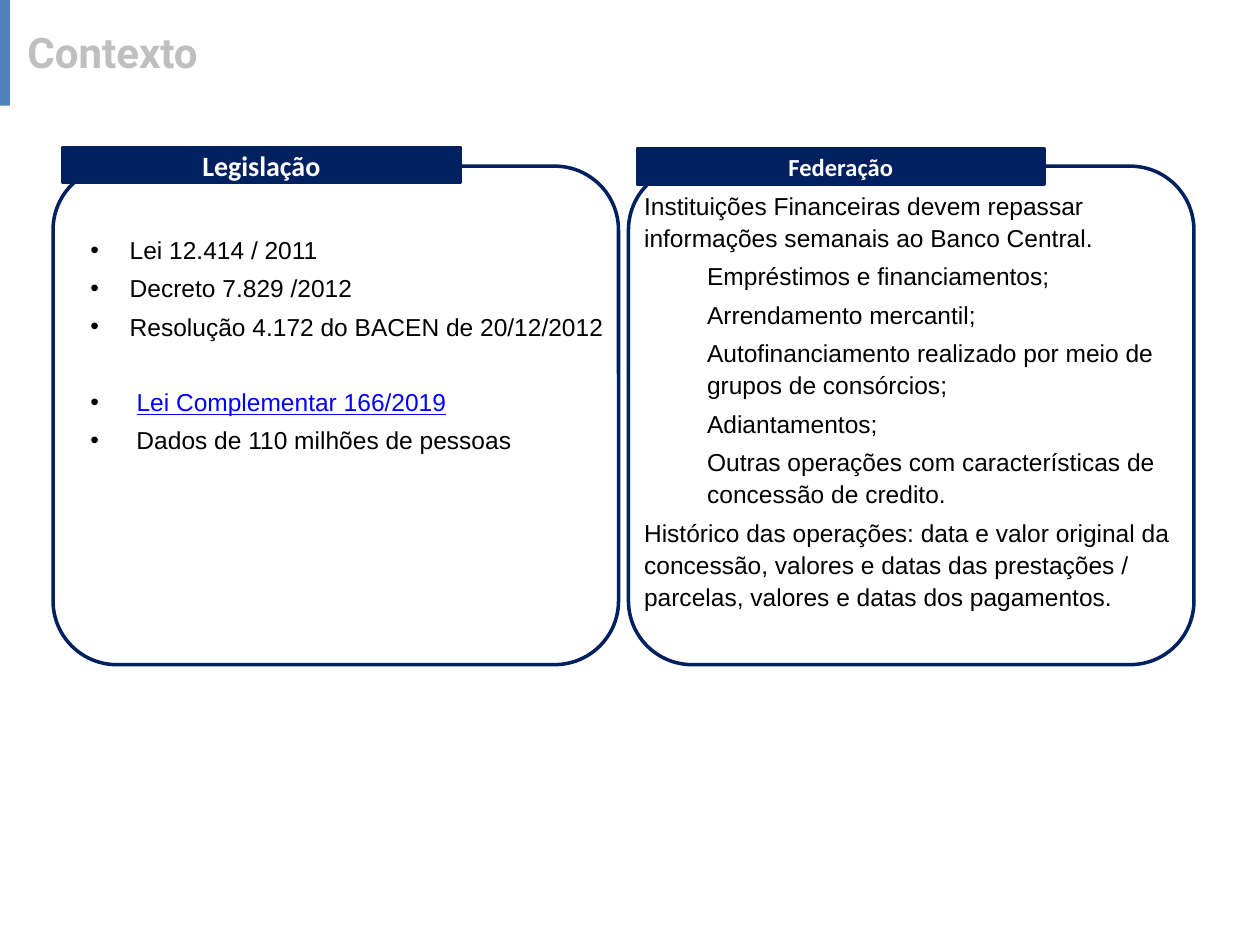
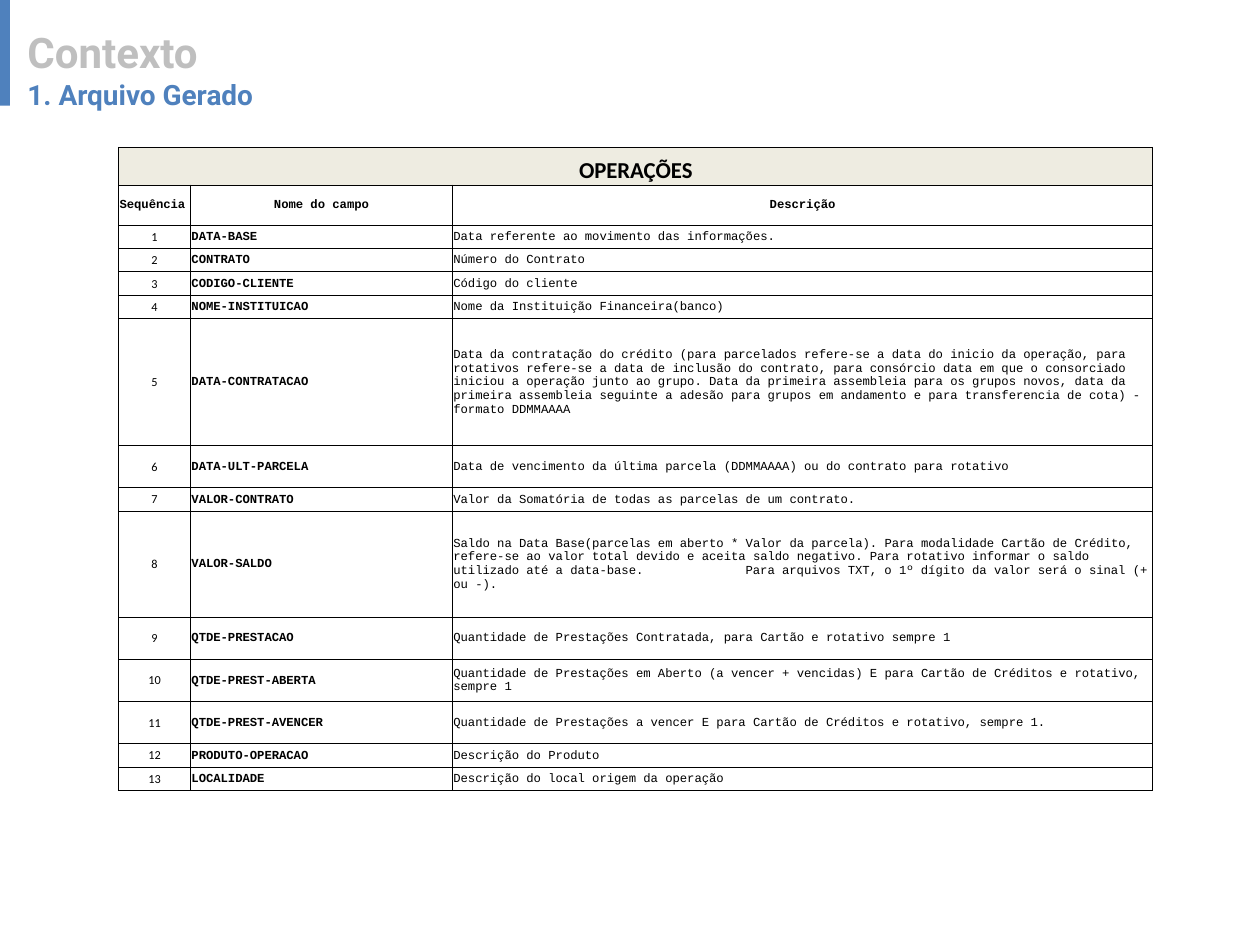
from dataclasses import dataclass

from lxml import etree
from pptx import Presentation
from pptx import util as u
from pptx.dml.color import RGBColor
from pptx.enum import shapes, text
from pptx.oxml.ns import qn


@dataclass(frozen=True)
class Theme:
    navy: str = "002060"
    blue: str = "4F81BD"
    grey: str = "BFBFBF"
    cream: str = "EEECE1"
    link: str = "0000FF"
    black: str = "000000"
    white: str = "FFFFFF"
    title_font: str = "Roboto"
    label_font: str = "Calibri"
    body_font: str = "Arial"
    code_font: str = "Courier New"
    title_size: float = 24
    subtitle_size: float = 16
    body_size: float = 14
    table_title_size: float = 13
    cell_size: float = 7
    paragraph_gap: float = 3.4
    section_gap: float = 24.6


LEFT, CENTER = text.PP_ALIGN.LEFT, text.PP_ALIGN.CENTER
TWO_CONTENT, TITLE_ONLY = 3, 5


@dataclass
class Item:
    """One paragraph of a list; prefix stays plain when the words are marked."""
    words: str
    level: int = 0
    marked: bool = False
    new_section: bool = False
    prefix: str = ""


class SlideWriter:
    def __init__(self, deck, theme):
        self.deck, self.theme, self.page = deck, theme, None

    def set_font(self, font, name, size, color, bold=False):
        font.name, font.size, font.bold = name, u.Pt(size), bold
        font.color.rgb = RGBColor.from_string(color)

    def place(self, shape, left, top, width, height):
        shape.left, shape.top = u.Cm(left), u.Cm(top)
        shape.width, shape.height = u.Cm(width), u.Cm(height)

    def start(self, layout, title, subtitle=None):
        """Add a page with its title and the blue bar at the corner."""
        t = self.theme
        self.page = self.deck.slides.add_slide(self.deck.slide_layouts[layout])
        box = self.page.shapes.title
        self.place(box, 0.3, 0.41, 24.87, 1.96 if subtitle else 1.27)
        frame = box.text_frame
        frame.auto_size = text.MSO_AUTO_SIZE.NONE
        frame.vertical_anchor = text.MSO_ANCHOR.TOP
        frame.text = title
        self.set_font(frame.paragraphs[0].font, t.title_font, t.title_size, t.grey, True)
        if subtitle:
            para = frame.add_paragraph()
            para.text = subtitle
            self.set_font(para.font, t.title_font, t.subtitle_size, t.blue, True)
        for para in frame.paragraphs:
            para.alignment = LEFT
        self.shape(shapes.MSO_SHAPE.RECTANGLE, 0, 0, 0.2, 2.13, fill=t.blue)

    def shape(self, kind, left, top, width, height, fill=None, line=None):
        shape = self.page.shapes.add_shape(
            kind, u.Cm(left), u.Cm(top), u.Cm(width), u.Cm(height))
        shape.shadow.inherit = False
        if fill:
            shape.fill.solid()
            shape.fill.fore_color.rgb = RGBColor.from_string(fill)
        else:
            shape.fill.background()
        if line:
            shape.line.color.rgb = RGBColor.from_string(line)
            shape.line.width = u.Pt(2)
        else:
            shape.line.fill.background()
        return shape

    def panel(self, left, label, label_left, label_top, label_width, label_size):
        """Rounded outline with a label band over its top edge."""
        t = self.theme
        outline = self.shape(shapes.MSO_SHAPE.ROUNDED_RECTANGLE,
                             left, 3.35, 11.4, 10.05, line=t.navy)
        outline.adjustments[0] = 0.128
        band = self.shape(shapes.MSO_SHAPE.RECTANGLE, label_left, label_top,
                          label_width, 0.71, fill=t.navy, line=t.navy)
        frame = band.text_frame
        frame.vertical_anchor = text.MSO_ANCHOR.MIDDLE
        frame.margin_top = frame.margin_bottom = 0
        frame.text = label
        para = frame.paragraphs[0]
        para.alignment = CENTER
        self.set_font(para.font, t.label_font, label_size, t.white, True)

    def body(self, index, items, left, top, width, height, bullet=None):
        """Fill a body placeholder; sub-items are indented, bullets hang."""
        t = self.theme
        box = self.page.placeholders[index]
        self.place(box, left, top, width, height)
        frame = box.text_frame
        frame.auto_size = text.MSO_AUTO_SIZE.NONE
        frame.vertical_anchor = text.MSO_ANCHOR.TOP
        frame.word_wrap = True
        for number, item in enumerate(items):
            para = frame.add_paragraph() if number else frame.paragraphs[0]
            para.level = item.level
            para.alignment = LEFT
            para.line_spacing = 1.1
            para.space_before = u.Pt(t.section_gap if item.new_section else t.paragraph_gap)
            hang = u.Cm(0.79) if bullet else 0
            props = para._p.get_or_add_pPr()
            props.set("marL", str(hang + u.Cm(1.27) * item.level))
            props.set("indent", str(-hang))
            if bullet:
                etree.SubElement(props, qn("a:buFont")).set("typeface", t.body_font)
                etree.SubElement(props, qn("a:buChar")).set("char", bullet)
            else:
                etree.SubElement(props, qn("a:buNone"))
            self.set_font(para.font, t.body_font, t.body_size, t.black)
            if item.prefix:
                para.add_run().text = item.prefix
            span = para.add_run()
            span.text = item.words
            if item.marked:
                span.font.underline = True
                span.font.color.rgb = RGBColor.from_string(t.link)

    def cell(self, cell, words, font, bold=False, align=LEFT, size=None,
             fill=None, anchor=text.MSO_ANCHOR.MIDDLE, tab=None):
        t = self.theme
        cell.margin_left = cell.margin_right = cell.margin_top = u.Cm(0.02)
        cell.margin_bottom = 0
        cell.vertical_anchor = anchor
        # Borders come before the fill
        props = cell._tc.get_or_add_tcPr()
        for side in ("lnL", "lnR", "lnT", "lnB"):
            line = etree.SubElement(props, qn("a:" + side), w=str(u.Pt(0.5)))
            solid = etree.SubElement(line, qn("a:solidFill"))
            etree.SubElement(solid, qn("a:srgbClr"), val=t.black)
        if fill:
            cell.fill.solid()
            cell.fill.fore_color.rgb = RGBColor.from_string(fill)
        else:
            cell.fill.background()
        para = cell.text_frame.paragraphs[0]
        para.text = words
        para.alignment = align
        if tab:
            stops = etree.SubElement(para._p.get_or_add_pPr(), qn("a:tabLst"))
            etree.SubElement(stops, qn("a:tab"), pos=str(u.Cm(tab)), algn="l")
        self.set_font(para.font, font, size or t.cell_size, t.black, bold)

    def field_table(self, title, heads, fields, left, top, widths):
        """Title row, head row, then one numbered row for each field."""
        t = self.theme
        heights = [0.76, 0.81] + [height for height, _, _ in fields]
        table = self.page.shapes.add_table(
            len(heights), len(widths), u.Cm(left), u.Cm(top),
            u.Cm(sum(widths)), u.Cm(sum(heights))).table
        table.first_row = table.horz_banding = False
        for column, width in zip(table.columns, widths):
            column.width = u.Cm(width)
        for row, height in zip(table.rows, heights):
            row.height = u.Cm(height)
        for column in range(len(widths)):
            self.cell(table.cell(0, column), "" if column else title, t.label_font, True,
                      CENTER, t.table_title_size, t.cream, text.MSO_ANCHOR.BOTTOM)
        table.cell(0, 0).merge(table.cell(0, len(widths) - 1))
        for column, head in enumerate(heads):
            self.cell(table.cell(1, column), head, t.code_font, True,
                      CENTER if column else LEFT)
        for number, (_, name, description) in enumerate(fields, 1):
            row = number + 1
            self.cell(table.cell(row, 0), str(number), t.label_font, align=CENTER)
            self.cell(table.cell(row, 1), name, t.code_font, True)
            self.cell(table.cell(row, 2), description, t.code_font,
                      tab=5.89 if "\t" in description else None)


deck = Presentation()
deck.slide_width, deck.slide_height = u.Cm(25.4), u.Cm(19.05)
theme = Theme()
writer = SlideWriter(deck, theme)

# Slide 1: legislation and what the institutions report
writer.start(TWO_CONTENT, "Contexto")
writer.panel(12.67, "Federação", 12.85, 3.0, 8.2, 14)
writer.panel(1.07, "Legislação", 1.27, 2.97, 8.0, 16)
writer.body(1, [
    Item("Lei 12.414 / 2011"),
    Item("Decreto 7.829 /2012"),
    Item("Resolução 4.172 do BACEN de 20/12/2012"),
    Item("Lei Complementar 166/2019", marked=True, new_section=True, prefix="\u00a0"),
    Item("Dados de 110 milhões de pessoas", prefix="\u00a0"),
], 1.57, 4.55, 11.2, 5.56, bullet="•")
writer.body(2, [
    Item("Instituições Financeiras devem repassar informações semanais ao Banco Central."),
    Item("Empréstimos e financiamentos;", 1),
    Item("Arrendamento mercantil;", 1),
    Item("Autofinanciamento realizado por meio de grupos de consórcios;", 1),
    Item("Adiantamentos;", 1),
    Item("Outras operações com características de concessão de credito.", 1),
    Item("Histórico das operações: data e valor original da concessão, valores e datas "
         "das prestações / parcelas, valores e datas dos pagamentos."),
], 12.73, 3.66, 11.63, 8.86)

# Slide 2: layout of the generated file
LOW, MEDIUM = 0.47, 0.85
writer.start(TITLE_ONLY, "Contexto", "1. Arquivo Gerado")
writer.field_table("OPERAÇÕES", ["Sequência", "Nome do campo", "Descrição"], [
    (LOW, "DATA-BASE", "Data referente ao movimento das informações."),
    (LOW, "CONTRATO", "Número do Contrato"),
    (LOW, "CODIGO-CLIENTE", "Código do cliente"),
    (LOW, "NOME-INSTITUICAO", "Nome da Instituição Financeira(banco)"),
    (2.56, "DATA-CONTRATACAO",
     "Data da contratação do crédito (para parcelados refere-se a data do inicio da "
     "operação, para rotativos refere-se a data de inclusão do contrato, para consórcio "
     "data em que o consorciado iniciou a operação junto ao grupo. Data da primeira "
     "assembleia para os grupos novos, data da primeira assembleia seguinte a adesão para "
     "grupos em andamento e para transferencia de cota) - formato DDMMAAAA"),
    (MEDIUM, "DATA-ULT-PARCELA",
     "Data de vencimento da última parcela (DDMMAAAA) ou do contrato para rotativo"),
    (LOW, "VALOR-CONTRATO", "Valor da Somatória de todas as parcelas de um contrato."),
    (2.14, "VALOR-SALDO",
     "Saldo na Data Base(parcelas em aberto * Valor da parcela). Para modalidade Cartão de "
     "Crédito, refere-se ao valor total devido e aceita saldo negativo. Para rotativo "
     "informar o saldo utilizado até a data-base.\tPara arquivos TXT, o 1º dígito da valor "
     "será o sinal (+ ou -)."),
    (MEDIUM, "QTDE-PRESTACAO",
     "Quantidade de Prestações Contratada, para Cartão e rotativo sempre 1"),
    (MEDIUM, "QTDE-PREST-ABERTA",
     "Quantidade de Prestações em Aberto (a vencer + vencidas) E para Cartão de Créditos e "
     "rotativo, sempre 1"),
    (MEDIUM, "QTDE-PREST-AVENCER",
     "Quantidade de Prestações a vencer E para Cartão de Créditos e rotativo, sempre 1."),
    (LOW, "PRODUTO-OPERACAO", "Descrição do Produto"),
    (LOW, "LOCALIDADE", "Descrição do local origem da operação"),
], 2.39, 2.97, [1.45, 5.28, 14.12])

deck.save("out.pptx")
